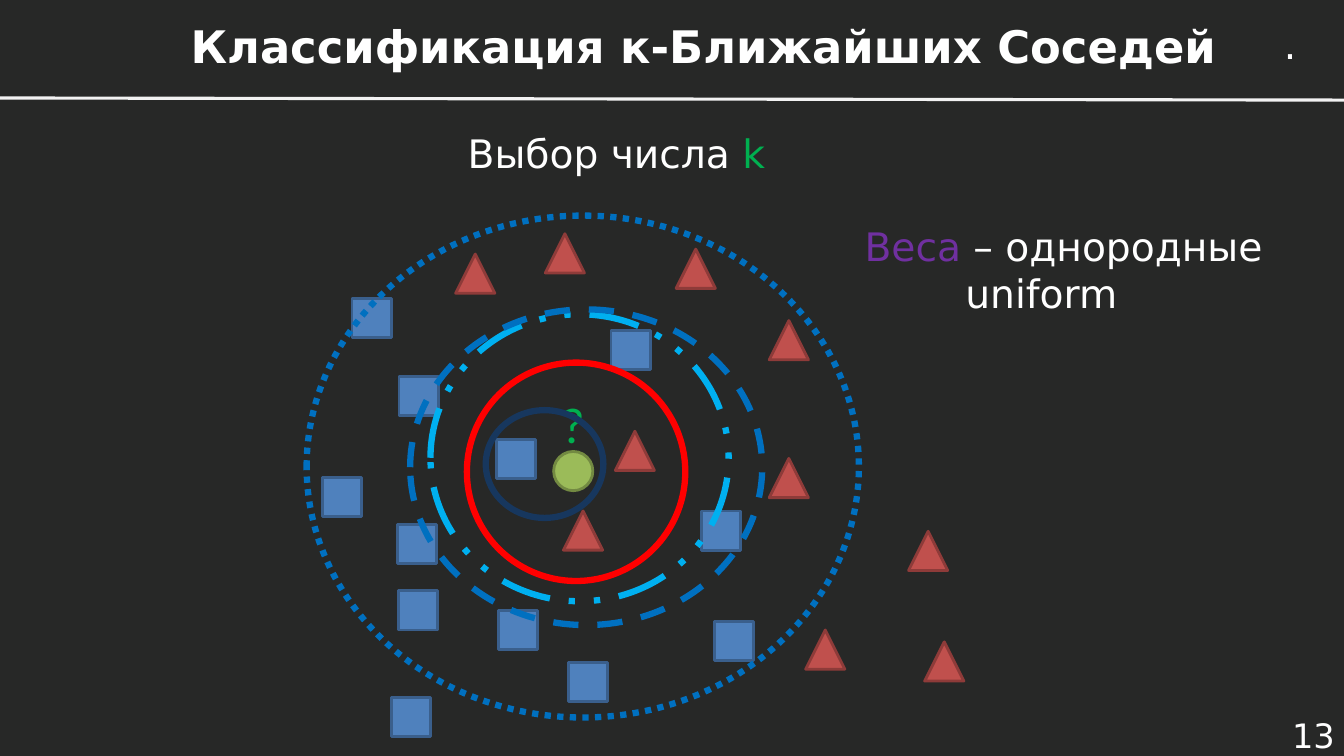
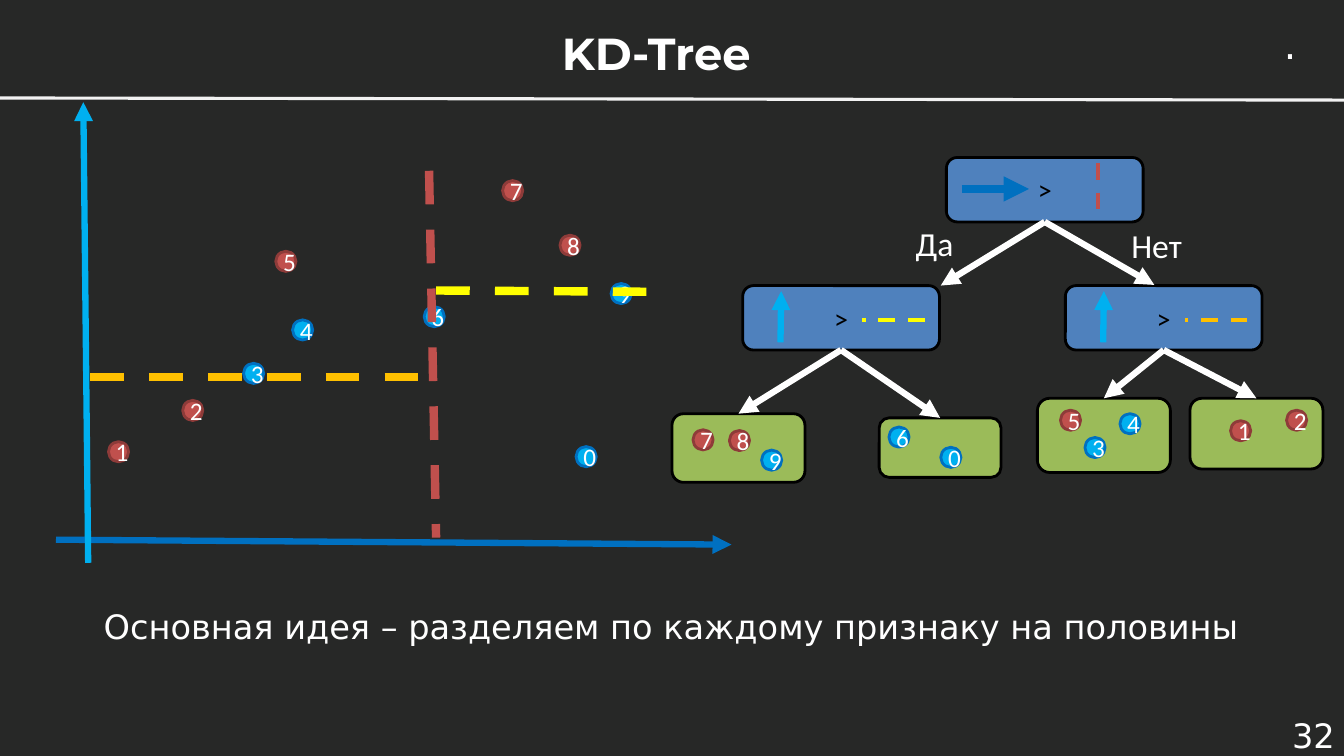
from dataclasses import dataclass

from lxml import etree
from pptx import Presentation
from pptx.dml.color import RGBColor
from pptx.enum.dml import MSO_LINE as Dash
from pptx.enum.shapes import MSO_CONNECTOR, MSO_SHAPE as Shape
from pptx.enum.text import MSO_ANCHOR as Anchor, MSO_AUTO_SIZE as Fit, PP_ALIGN as Align
from pptx.oxml.ns import qn
from pptx.util import Pt


@dataclass(frozen=True)
class Theme:
    """Colours, fonts and sizes shared by the slides."""
    back: str = "272827"
    white: str = "FFFFFF"
    black: str = "000000"
    rule: str = "F2F2F2"
    steel: str = "4F81BD"
    steel_edge: str = "3A5F8C"
    brick: str = "C0504D"
    brick_edge: str = "8E3B39"
    olive: str = "9BBB59"
    olive_edge: str = "738A42"
    sky: str = "00B0F0"
    blue: str = "0070C0"
    navy: str = "17375E"
    red: str = "FF0000"
    green: str = "00B050"
    purple: str = "7030A0"
    amber: str = "FFC000"
    yellow: str = "FFFF00"
    font: str = "DejaVu Sans"
    label_font: str = "Calibri"
    title_font: str = "Montserrat"
    title: int = 32
    lead: int = 28
    body: int = 24
    sign: int = 20
    digit: int = 18
    query: int = 36
    edge: float = 2
    thin: float = 3
    stroke: float = 4.5
    thick: float = 6


T = Theme()
MARKER, DOT = 28, 14.4
RED_POINTS = "12578"


def rgb(value):
    """Turn a hex string into a colour."""
    return RGBColor.from_string(value)


def write(p, text, size=T.body, color=T.white, font=T.font, bold=False, align=None):
    """Add one formatted run to a paragraph."""
    r = p.add_run()
    r.text = text
    r.font.size, r.font.name, r.font.bold = Pt(size), font, bold
    r.font.color.rgb = rgb(color)
    if align is not None:
        p.alignment = align


def text_box(s, box, text="", wrap=True, fit=Fit.SHAPE_TO_FIT_TEXT, anchor=Anchor.TOP, **style):
    """Place a text box and return its text frame."""
    tf = s.shapes.add_textbox(*map(Pt, box)).text_frame
    tf.word_wrap, tf.auto_size, tf.vertical_anchor = wrap, fit, anchor
    if text:
        write(tf.paragraphs[0], text, **style)
    return tf


def add_shape(s, kind, box, fill, line, width=T.edge, dash=None):
    """Place a preset shape; a fill of None leaves it open."""
    sp = s.shapes.add_shape(kind, *map(Pt, box))
    sp.shadow.inherit = False
    if fill:
        sp.fill.solid()
        sp.fill.fore_color.rgb = rgb(fill)
    else:
        sp.fill.background()
    sp.line.color.rgb = rgb(line)
    sp.line.width = Pt(width)
    if dash:
        sp.line.dash_style = dash
    return sp


def add_line(s, start, end, color, width, dash=None, arrow=False):
    """Draw a straight connector between two points."""
    cn = s.shapes.add_connector(MSO_CONNECTOR.STRAIGHT, *map(Pt, (*start, *end)))
    cn.line.color.rgb = rgb(color)
    cn.line.width = Pt(width)
    if dash:
        cn.line.dash_style = dash
    if arrow:
        ln = cn.line._get_or_add_ln()
        etree.SubElement(ln, qn("a:tailEnd"), type="triangle")
    etree.SubElement(cn._element.spPr, qn("a:effectLst"))
    return cn


def shift(origin, point):
    """Move a point by the origin of its region."""
    return origin[0] + point[0], origin[1] + point[1]


def new_slide(prs, title, box, number, font=T.font):
    """Add a slide with its title, rule, corner dot and number."""
    s = prs.slides.add_slide(prs.slide_layouts[5])
    sp = s.shapes.title
    sp.left, sp.top, sp.width, sp.height = map(Pt, box)
    tf = sp.text_frame
    tf.word_wrap, tf.auto_size, tf.vertical_anchor = True, Fit.NONE, Anchor.MIDDLE
    write(tf.paragraphs[0], title, size=T.title, font=font, bold=True, align=Align.CENTER)
    add_line(s, (0, 70), (960, 71.5), T.rule, 2.25)
    text_box(s, (910, 11, 24.5, 41), ".", wrap=False, size=T.lead)
    text_box(s, (885, 510, 75.5, 30), number, fit=Fit.NONE, anchor=Anchor.MIDDLE, align=Align.RIGHT)
    return s


def neighbours(s, origin):
    """Draw two classes of points and the rings around the query point."""
    squares = [(135.5, 160), (217.5, 82), (282, 211), (32.5, 59), (65.5, 268), (187, 319),
               (291.5, 290), (60.5, 344), (137, 282), (65, 220.5), (11.5, 187), (66, 115)]
    triangles = [(170.5, 13), (220.5, 154), (106.5, 27.5), (264, 24), (330.5, 173.5),
                 (430, 225.5), (356.5, 296), (183.5, 211), (441.5, 304.5), (330.5, 75)]
    groups = [(Shape.RECTANGLE, squares, T.steel, T.steel_edge),
              (Shape.ISOSCELES_TRIANGLE, triangles, T.brick, T.brick_edge),
              (Shape.OVAL, [(176.5, 168.5)], T.olive, T.olive_edge)]
    for kind, points, fill, line in groups:
        for point in points:
            add_shape(s, kind, (*shift(origin, point), MARKER, MARKER), fill, line)
    text_box(s, (*shift(origin, (175, 123)), 32, 51), "?", wrap=False,
             size=T.query, color=T.green, font=T.label_font)
    rings = [((114.5, 105), (156, 156), T.red, None),
             ((88.5, 70.5), (213, 205), T.sky, Dash.DASH_DOT_DOT),
             ((74, 67), (251.5, 225.5), T.blue, Dash.DASH),
             ((0, 0), (394.5, 358.5), T.blue, Dash.ROUND_DOT),
             ((128, 139), (84, 77), T.navy, None)]
    for corner, size, color, dash in rings:
        add_shape(s, Shape.OVAL, (*shift(origin, corner), *size), None, color, T.stroke, dash)


def digit_dots(s, origin, dots):
    """Place numbered dots, coloured by class."""
    for digit, point in dots.items():
        fill, line = (T.brick, T.brick_edge) if digit in RED_POINTS else (T.sky, T.blue)
        sp = add_shape(s, Shape.OVAL, (*shift(origin, point), DOT, DOT), fill, line)
        write(sp.text_frame.paragraphs[0], digit, size=T.digit, font=T.label_font,
              align=Align.CENTER)


def plane(s, origin):
    """Draw the plane of points with its axes and cuts."""
    digit_dots(s, origin, {
        "1": (37.5, 242.5), "3": (134, 186.5), "8": (360, 95), "4": (169, 155.5),
        "7": (319, 56), "6": (263, 146), "9": (396.5, 129.5), "0": (371.5, 246),
        "5": (157, 106.5), "2": (90.5, 213)})
    cuts = [((266.5, 49), (271.5, 311), T.brick), ((24.5, 196.5), (273, 196.5), T.amber),
            ((271.5, 134.5), (438.5, 135.5), T.yellow)]
    for start, end, color in cuts:
        add_line(s, shift(origin, start), shift(origin, end), color, T.thick, Dash.DASH)
    axes = [((0, 312.5), (482.5, 316), T.blue), ((23, 329), (19.5, 0), T.sky)]
    for start, end, color in axes:
        add_line(s, shift(origin, start), shift(origin, end), color, T.stroke, arrow=True)


def decision(s, corner, cut_color, vertical_cut=False):
    """Draw a node that compares one axis with a cut."""
    node = add_shape(s, Shape.ROUNDED_RECTANGLE, (*corner, 140.5, 46), T.steel, T.black)
    write(node.text_frame.paragraphs[0], ">", size=T.sign, color=T.black,
          font=T.label_font, align=Align.CENTER)
    if vertical_cut:
        axis, axis_color, width = ((11, 22.5), (59, 22.5)), T.blue, T.thick
        cut = (108.5, 4), (108.5, 42)
    else:
        axis, axis_color, width = ((27, 40.5), (27.5, 4)), T.sky, T.stroke
        cut = (130, 24.5), (85.5, 24.5)
    add_line(s, *(shift(corner, pt) for pt in axis), axis_color, width, arrow=True)
    add_line(s, *(shift(corner, pt) for pt in cut), cut_color, T.thin, Dash.DASH)
    return node


def leaf(s, box, dots):
    """Draw a leaf holding its numbered dots."""
    sp = add_shape(s, Shape.ROUNDED_RECTANGLE, box, T.olive, T.black)
    digit_dots(s, box[:2], dots)
    return sp


def branch(s, parent, child=None, end=(0, 0)):
    """Join the bottom of a node to the top of a child or to a point."""
    cn = add_line(s, (0, 0), end, T.white, T.stroke, arrow=True)
    cn.begin_connect(parent, 2)
    if child is not None:
        cn.end_connect(child, 0)


def tree(s, origin):
    """Draw the decision tree with its leaves and branches."""
    root = decision(s, shift(origin, (196, 0)), T.brick, vertical_cut=True)
    yes = decision(s, shift(origin, (50.5, 91.5)), T.yellow)
    no = decision(s, shift(origin, (281, 91.5)), T.amber)
    leaves = [
        (yes, (0, 183), (95, 49), {"8": (41, 12), "7": (15, 11.5), "9": (64, 26)}),
        (yes, (148, 186), (87, 42.5), {"6": (7, 6.5), "0": (44, 21)}),
        (no, (261, 172), (95, 53), {"3": (34, 28), "4": (59, 11), "5": (16.5, 8.5)}),
        (no, (370, 172), (95, 50.5), {"1": (29, 16), "2": (69, 8.5)})]
    for parent, corner, size, dots in leaves:
        branch(s, parent, leaf(s, (*shift(origin, corner), *size), dots))
    for end in ((192, 91.5), (344.5, 91)):
        branch(s, root, end=shift(origin, end))
    for word, corner, width in (("Да", (167, 43.5), 58.5), ("Нет", (321, 44.5), 80.5)):
        text_box(s, (*shift(origin, corner), width, 36), word, font=T.label_font)


def neighbours_slide(prs):
    """Build the slide on choosing the number of neighbours."""
    s = new_slide(prs, "Классификация к-Ближайших Соседей", (111.5, 13.5, 782.5, 38), "13")
    neighbours(s, (219, 154))
    tf = text_box(s, (327, 88.5, 230.5, 41), "Выбор числа ", wrap=False, size=T.lead)
    write(tf.paragraphs[0], "k", size=T.lead, color=T.green)
    tf = text_box(s, (610.5, 155, 300, 75), "Веса", wrap=False, size=T.lead, color=T.purple)
    write(tf.paragraphs[0], " – однородные", size=T.lead)
    p = tf.add_paragraph()
    p._p.get_or_add_pPr().set("marL", str(Pt(72)))
    write(p, "uniform", size=T.lead)


def tree_slide(prs):
    """Build the slide on the KD-tree."""
    s = new_slide(prs, "KD-Tree", (157, 4.5, 623.5, 65.5), "32", font=T.title_font)
    plane(s, (40, 73))
    tree(s, (480, 112.5))
    text_box(s, (67, 429, 878.5, 36),
             "Основная идея – разделяем по каждому признаку на половины")


def main():
    """Build and save the presentation."""
    prs = Presentation()
    prs.slide_width, prs.slide_height = Pt(960), Pt(540)
    fill = prs.slide_master.background.fill
    fill.solid()
    fill.fore_color.rgb = rgb(T.back)
    neighbours_slide(prs)
    tree_slide(prs)
    prs.save("out.pptx")


if __name__ == "__main__":
    main()
